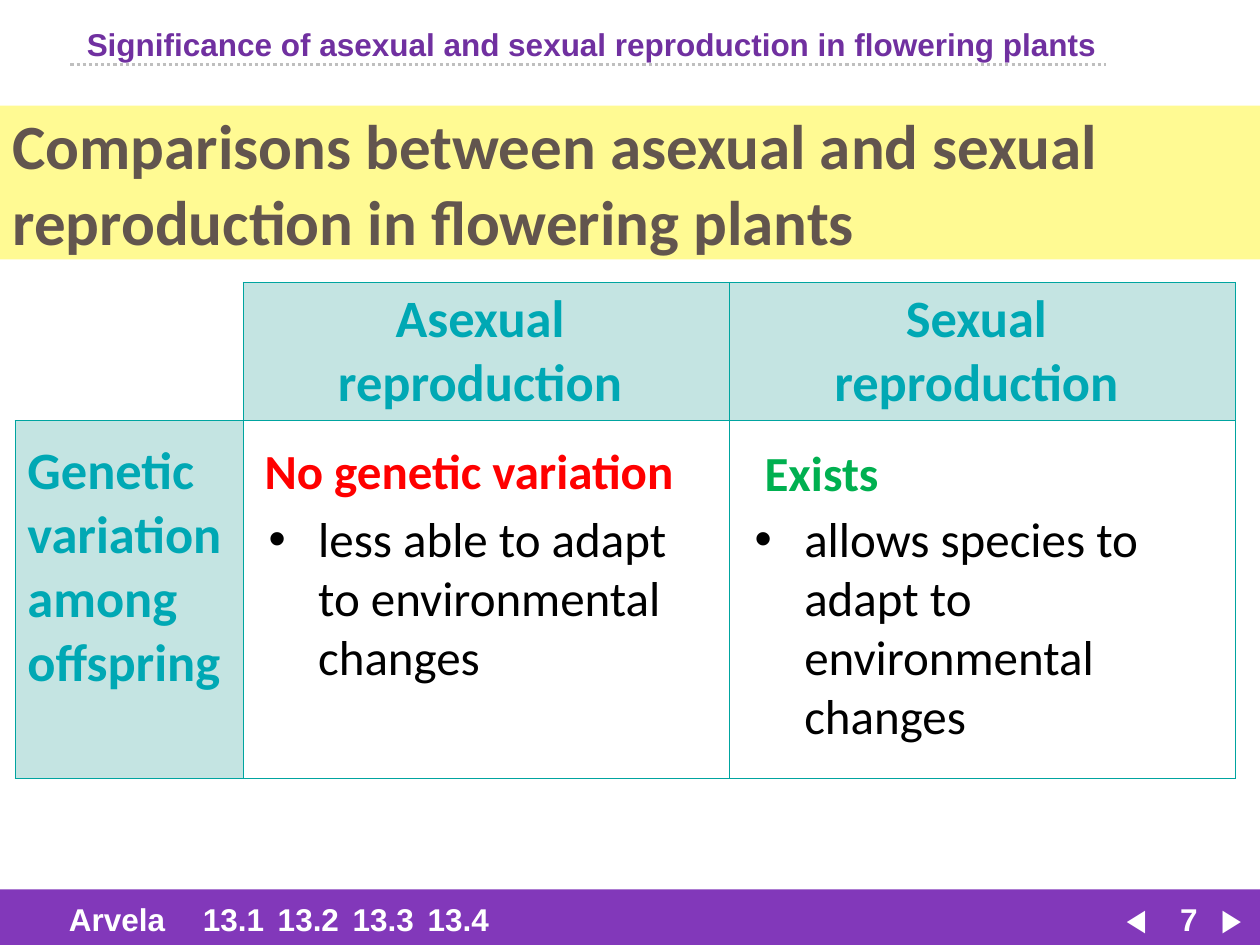
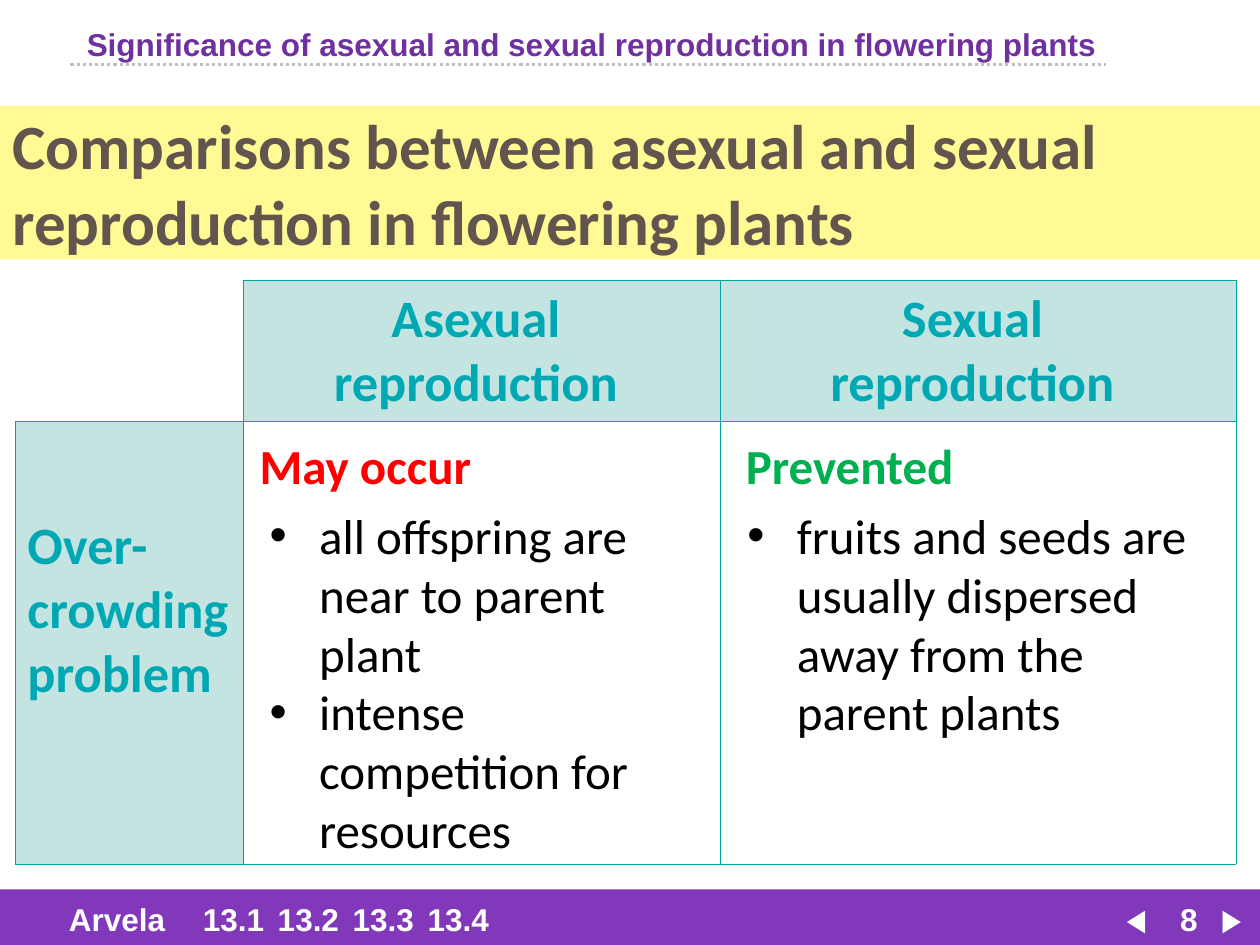
"""Build two slides comparing asexual and sexual reproduction in plants."""
from lxml.etree import SubElement
from pptx import Presentation
from pptx.dml.color import RGBColor
from pptx.enum.dml import MSO_LINE
from pptx.enum.shapes import MSO_CONNECTOR, MSO_SHAPE
from pptx.enum.text import MSO_ANCHOR, MSO_AUTO_SIZE, PP_ALIGN
from pptx.oxml.ns import qn
from pptx.util import Cm, Pt

PURPLE = RGBColor(0x82, 0x38, 0xBA)
HEADER_PURPLE = RGBColor(0x70, 0x30, 0xA0)
GREY = RGBColor(0xBF, 0xBF, 0xBF)
YELLOW = RGBColor(0xFF, 0xFA, 0x93)
BROWN = RGBColor(0x62, 0x55, 0x4E)
TEAL = RGBColor(0x00, 0xA8, 0xB4)
BORDER_TEAL = RGBColor(0x00, 0xA4, 0xA0)
PALE_TEAL = RGBColor(0xC4, 0xE4, 0xE2)
RED = RGBColor(0xFF, 0x00, 0x00)
GREEN = RGBColor(0x00, 0xB0, 0x50)
BLACK = RGBColor(0x00, 0x00, 0x00)
WHITE = RGBColor(0xFF, 0xFF, 0xFF)

HEADER = "Significance of asexual and sexual reproduction in flowering plants"
TITLE = "Comparisons between asexual and sexual reproduction in flowering plants"
PUBLISHER = "Arvela"
SECTIONS = ["13.1", "13.2", "13.3", "13.4"]
COMPARISON_LAYOUT = 4

COMPARISONS = [
    {
        "page": 7,
        "table_top": 5.69,
        "cols": [4.6, 9.8, 10.21],
        "rows": [2.79, 7.21],
        "aspect": ["Genetic variation among offspring"],
        "answers": [
            ("No genetic variation", RED, (5.08, 8.76, 9.2, 1.45),
             ["less able to adapt to environmental changes"],
             (5.16, 10.13, 9.37, 3.81)),
            ("Exists", GREEN, (15.16, 8.79, 9, 1.45),
             ["allows species to adapt to environmental changes"],
             (14.96, 10.13, 9.35, 5)),
        ],
    },
    {
        "page": 8,
        "table_top": 5.66,
        "cols": [4.6, 9.63, 10.39],
        "rows": [2.84, 8.92],
        "aspect": ["Over-crowding", "problem"],
        "answers": [
            ("May occur", RED, (4.98, 8.66, 9.2, 1.45),
             ["all offspring are near to parent plant",
              "intense competition for resources"],
             (5.18, 10.06, 9.37, 7.37)),
            ("Prevented", GREEN, (14.78, 8.66, 9, 1.45),
             ["fruits and seeds are usually dispersed away from the parent plants"],
             (14.81, 10.06, 9.7, 5)),
        ],
    },
]


def write(tf, lines, size, color, font="Calibri", bold=True, align=PP_ALIGN.LEFT):
    """Write each line as one formatted paragraph."""
    for i, line in enumerate(lines):
        p = tf.add_paragraph() if i else tf.paragraphs[0]
        p.alignment = align
        p.space_before = Pt(0)
        r = p.add_run()
        r.text = line
        r.font.name = font
        r.font.size = Pt(size)
        r.font.bold = bold
        r.font.color.rgb = color


def add_label(s, text, box, color=WHITE, bold=True, align=PP_ALIGN.LEFT, inset=0.25):
    """Add a one-line header or footer label."""
    tf = s.shapes.add_textbox(*map(Cm, box)).text_frame
    tf.word_wrap = True
    tf.margin_left = tf.margin_right = Cm(inset)
    write(tf, [text], 18, color, "Arial", bold, align)


def fill_placeholder(sp, box, lines, size, color, bold=True, anchor=MSO_ANCHOR.TOP):
    """Move a placeholder and write its text."""
    sp.left, sp.top, sp.width, sp.height = map(Cm, box)
    tf = sp.text_frame
    tf.word_wrap = True
    tf.auto_size = MSO_AUTO_SIZE.NONE
    tf.vertical_anchor = anchor
    write(tf, lines, size, color, bold=bold)


def add_list(sp, box, lines):
    """Fill a body placeholder with a bulleted list."""
    fill_placeholder(sp, box, lines, 28, BLACK, bold=False)
    for p in sp.text_frame.paragraphs:
        pPr = p._p.get_or_add_pPr()
        pPr.set("marL", str(Cm(1)))
        pPr.set("indent", str(-Cm(1)))
        SubElement(pPr, qn("a:buChar")).set("char", "•")


def add_header(s):
    """Add the chapter header and its dotted rule."""
    add_label(s, HEADER, (1.5, 0.38, 22.6, 1.02), HEADER_PURPLE)
    line = s.shapes.add_connector(
        MSO_CONNECTOR.STRAIGHT, Cm(1.42), Cm(1.3), Cm(22.3), Cm(1.3))
    line.line.color.rgb = GREY
    line.line.width = Pt(1.75)
    line.line.dash_style = MSO_LINE.ROUND_DOT
    SubElement(line._element.spPr, qn("a:effectLst"))


def add_footer(s, page):
    """Add the footer band with sections, arrows and page number."""
    band = s.shapes.add_shape(MSO_SHAPE.RECTANGLE, 0, Cm(17.93), Cm(25.4), Cm(1.17))
    band.shadow.inherit = False
    band.fill.solid()
    band.fill.fore_color.rgb = PURPLE
    band.line.fill.background()
    top, height = 18.01, 1.02
    add_label(s, PUBLISHER, (1.14, top, 2.57, height))
    for i, section in enumerate(SECTIONS):
        add_label(s, section, (3.99 + 1.51 * i, top, 1.6, height), inset=0.1)
    add_label(s, "◀", (22.45, top, 1.24, height), bold=False)
    add_label(s, str(page), (23.19, top, 1.55, height), align=PP_ALIGN.CENTER)
    add_label(s, "▶", (24.36, top, 0.97, height), bold=False)


def set_borders(cell, sides):
    """Draw thin teal borders on the given sides of a cell."""
    tcPr = cell._tc.get_or_add_tcPr()
    for side in sides:
        ln = SubElement(tcPr, qn(f"a:ln{side}"), w=str(Pt(0.45)))
        fill = SubElement(ln, qn("a:solidFill"))
        SubElement(fill, qn("a:srgbClr"), val=str(BORDER_TEAL))


def add_comparison_table(s, top, cols, rows, aspect):
    """Add the table frame with its column heads and row label."""
    table = s.shapes.add_table(
        len(rows), len(cols), Cm(0.3), Cm(top), Cm(sum(cols)), Cm(sum(rows))).table
    table.first_row = table.horz_banding = False
    for column, width in zip(table.columns, cols):
        column.width = Cm(width)
    for row, height in zip(table.rows, rows):
        row.height = Cm(height)
    for r in range(len(rows)):
        for c in range(len(cols)):
            cell = table.cell(r, c)
            set_borders(cell, "LRTB" if r or c else "RB")
            cell.vertical_anchor = MSO_ANCHOR.MIDDLE
            cell.margin_top = cell.margin_bottom = Cm(0.1)
            if (r == 0) != (c == 0):
                cell.fill.solid()
                cell.fill.fore_color.rgb = PALE_TEAL
            else:
                cell.fill.background()
    for c, kind in enumerate(["Asexual ", "Sexual "], 1):
        write(table.cell(0, c).text_frame, [kind, "reproduction "], 30, TEAL,
              align=PP_ALIGN.CENTER)
    label = table.cell(1, 0)
    label.margin_bottom = Cm(1.4)
    write(label.text_frame, aspect, 30, TEAL)


def add_comparison_slide(prs, comparison):
    """Add one slide comparing both kinds of reproduction."""
    s = prs.slides.add_slide(prs.slide_layouts[COMPARISON_LAYOUT])
    add_header(s)
    add_footer(s, comparison["page"])
    title = s.shapes.title
    fill_placeholder(title, (0, 2.13, 25.4, 3.1), [TITLE], 36, BROWN,
                     anchor=MSO_ANCHOR.MIDDLE)
    title.fill.solid()
    title.fill.fore_color.rgb = YELLOW
    add_comparison_table(s, comparison["table_top"], comparison["cols"],
                         comparison["rows"], comparison["aspect"])
    bodies = list(s.placeholders)[1:]
    for i, (head, color, head_box, points, list_box) in enumerate(comparison["answers"]):
        fill_placeholder(bodies[2 * i], head_box, [head], 28, color)
        add_list(bodies[2 * i + 1], list_box, points)


def main():
    """Build and save the presentation."""
    prs = Presentation()
    prs.slide_width, prs.slide_height = Cm(25.4), Cm(19.05)
    for comparison in COMPARISONS:
        add_comparison_slide(prs, comparison)
    prs.save("out.pptx")


if __name__ == "__main__":
    main()
